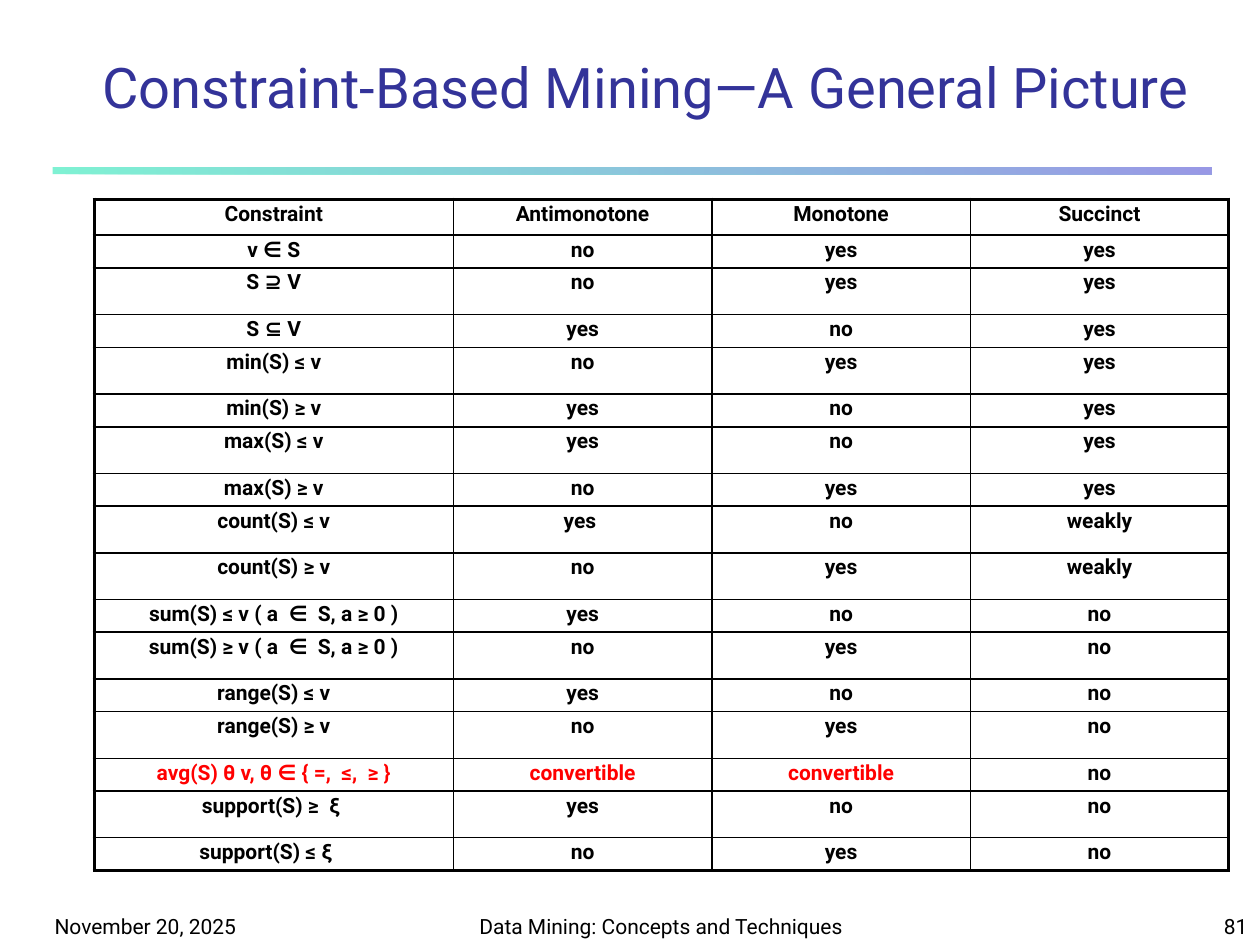
"""Build the slide that classifies mining constraints by their properties."""
from lxml import etree
from pptx import Presentation
from pptx.dml.color import RGBColor
from pptx.enum.shapes import MSO_SHAPE
from pptx.enum.text import MSO_ANCHOR, PP_ALIGN
from pptx.oxml import parse_xml
from pptx.oxml.ns import nsdecls, qn
from pptx.util import Cm, Pt

LEFT, CENTER, RIGHT = PP_ALIGN.LEFT, PP_ALIGN.CENTER, PP_ALIGN.RIGHT
BOTTOM = MSO_ANCHOR.BOTTOM
RECTANGLE = MSO_SHAPE.RECTANGLE
BLACK, RED, NAVY = "000000", "FF0000", "333399"
INNER, OUTER = Pt(1), Pt(2.25)
SHORT, TALL = Cm(0.66), Cm(0.94)


def rgb(color):
    return RGBColor.from_string(color)


def write(tf, text, size, color, align, bold=False):
    tf.text = text
    p = tf.paragraphs[0]
    p.alignment = align
    font = p.runs[0].font
    font.name, font.size, font.bold = "Roboto", Pt(size), bold
    font.color.rgb = rgb(color)
    return p


prs = Presentation()
prs.slide_width, prs.slide_height = Cm(25.4), Cm(19.05)
s = prs.slides.add_slide(prs.slide_layouts[5])

rule = s.shapes.add_shape(RECTANGLE, Cm(1.06), Cm(3.37), Cm(23.36), Cm(0.14))
rule.shadow.inherit = False
rule.line.fill.background()
rule.fill.gradient()
rule.fill.gradient_angle = 0
for stop, color, position in zip(rule.fill.gradient_stops, ("00E4A8", "3333CC"), (0, 1)):
    stop.color.rgb = rgb(color)
    stop.position = position
for clr in rule.fill._xPr.iter(qn("a:srgbClr")):
    etree.SubElement(clr, qn("a:alpha"), val="50000")

footers = [
    ("November 20, 2025", 0.85, 5.29, LEFT),
    ("Data Mining: Concepts and Techniques", 9.31, 8.04, CENTER),
    ("81", 20.11, 5.29, RIGHT),
]
for text, left, width, align in footers:
    tf = s.shapes.add_textbox(Cm(left), Cm(17.99), Cm(width), Cm(1.06)).text_frame
    tf.word_wrap = True
    tf.vertical_anchor = BOTTOM
    write(tf, text, 12, BLACK, align)

title = s.shapes.title
title.left, title.top, title.width, title.height = Cm(1.06), Cm(0.64), Cm(23.92), Cm(1.9)
title.text_frame.vertical_anchor = BOTTOM
write(title.text_frame, "Constraint-Based Mining—A General Picture", 32, NAVY, CENTER)

rows = [
    ("Constraint", "Antimonotone", "Monotone", "Succinct", Cm(0.72)),
    ("v ∈ S", "no", "yes", "yes", SHORT),
    ("S ⊇ V", "no", "yes", "yes", TALL),
    ("S ⊆ V", "yes", "no", "yes", SHORT),
    ("min(S) ≤ v", "no", "yes", "yes", TALL),
    ("min(S) ≥ v", "yes", "no", "yes", SHORT),
    ("max(S) ≤ v", "yes", "no", "yes", TALL),
    ("max(S) ≥ v", "no", "yes", "yes", SHORT),
    ("count(S) ≤ v", "yes ", "no", "weakly", TALL),
    ("count(S) ≥ v", "no", "yes", "weakly", TALL),
    ("sum(S) ≤ v ( a  ∈  S, a ≥ 0 )", "yes", "no", "no", SHORT),
    ("sum(S) ≥ v ( a  ∈  S, a ≥ 0 )", "no", "yes", "no", TALL),
    ("range(S) ≤ v", "yes", "no", "no", SHORT),
    ("range(S) ≥ v", "no", "yes", "no", TALL),
    ("avg(S) θ v, θ ∈ { =,  ≤,  ≥ }", "convertible", "convertible", "no", SHORT),
    ("support(S) ≥  ξ ", "yes", "no", "no", TALL),
    ("support(S) ≤ ξ   ", "no", "yes", "no", SHORT),
]
widths = [7.24, 5.21, 5.21, 5.21]
last_row, last_col = len(rows) - 1, len(widths) - 1
height = sum(row[-1] for row in rows)
table = s.shapes.add_table(len(rows), len(widths), Cm(1.9), Cm(4.02), Cm(sum(widths)), height).table
table.first_row = table.horz_banding = False
for column, width in zip(table.columns, widths):
    column.width = Cm(width)

for i, (*texts, row_height) in enumerate(rows):
    table.rows[i].height = row_height
    for j, text in enumerate(texts):
        cell = table.cell(i, j)
        color = RED if "convertible" in texts and j < last_col else BLACK
        p = write(cell.text_frame, text, 12, color, CENTER, bold=True)
        p.line_spacing = 0.8
        edges = {"lnL": j == 0, "lnR": j == last_col, "lnT": i == 0, "lnB": i == last_row}
        tcPr = cell._tc.get_or_add_tcPr()
        for tag, outside in edges.items():
            tcPr.append(parse_xml(
                f'<a:{tag} {nsdecls("a")} w="{OUTER if outside else INNER}">'
                f'<a:solidFill><a:srgbClr val="{BLACK}"/></a:solidFill></a:{tag}>'))
        cell.fill.background()

prs.save("out.pptx")
